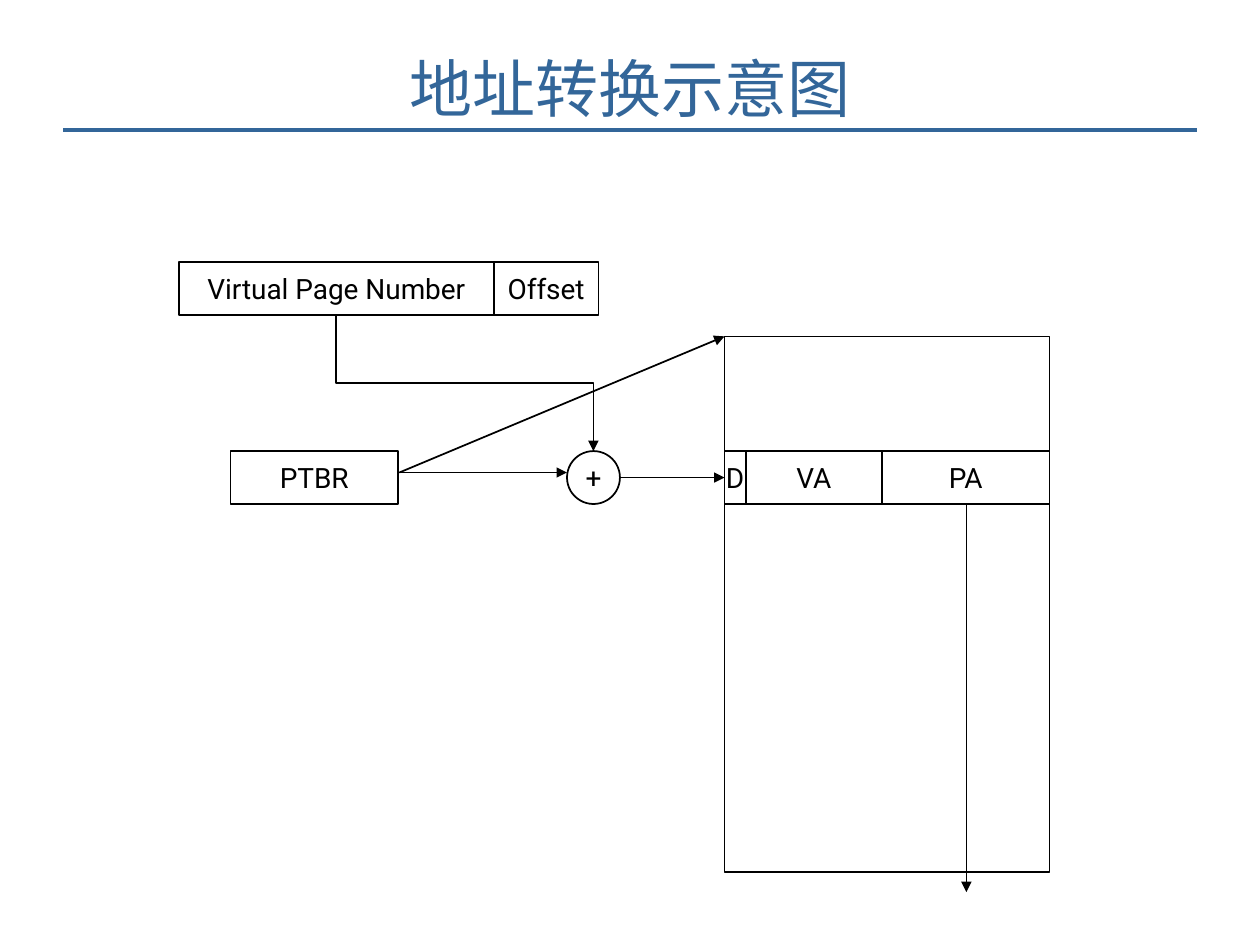
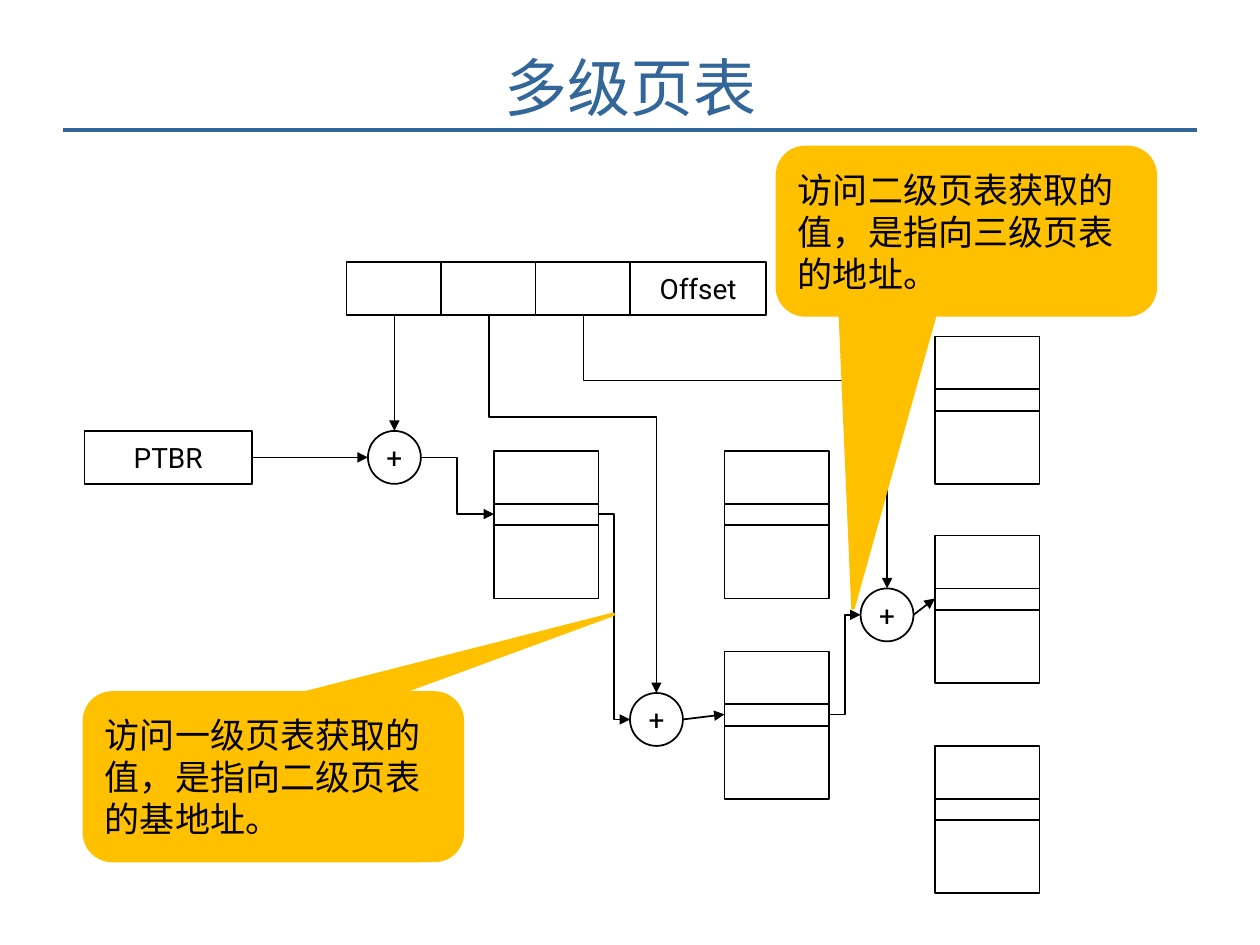
from dataclasses import dataclass

from lxml import etree
from pptx import Presentation
from pptx.dml.color import RGBColor
from pptx.enum.shapes import MSO_CONNECTOR, MSO_SHAPE
from pptx.enum.text import MSO_ANCHOR, PP_ALIGN
from pptx.oxml.ns import qn
from pptx.util import Inches, Pt

BLUE = RGBColor(0x33, 0x66, 0x99)
BLACK = RGBColor(0x00, 0x00, 0x00)
AMBER = RGBColor(0xFF, 0xC0, 0x00)

LATIN_FONT = "Roboto"
CHINESE_FONT = "Noto Sans CJK SC"

RECTANGLE = MSO_SHAPE.RECTANGLE
OVAL = MSO_SHAPE.OVAL
CALLOUT = MSO_SHAPE.ROUNDED_RECTANGULAR_CALLOUT
STRAIGHT = MSO_CONNECTOR.STRAIGHT
ELBOW = MSO_CONNECTOR.ELBOW
MIDDLE = MSO_ANCHOR.MIDDLE
CENTER = PP_ALIGN.CENTER
LEFT = PP_ALIGN.LEFT

TITLE_ONLY_LAYOUT = 5
FIELD_HEIGHT = 0.42
REGISTER_WIDTH = 1.33
INDEX_WIDTH = 0.75
TABLE_WIDTH, TABLE_HEIGHT = 0.83, 1.17
ENTRY_OFFSET, ENTRY_HEIGHT = 0.42, 0.17

Point = tuple[float, float]


@dataclass
class Box:
    left: float
    top: float
    width: float
    height: float = FIELD_HEIGHT
    label: str = ""
    geometry: MSO_SHAPE = RECTANGLE


@dataclass
class Arrow:
    start: Point
    end: Point
    route: str = "straight"  # straight, across (horizontal first) or down (vertical first)
    bend: float = 0.5


@dataclass
class Callout:
    left: float
    top: float
    text: str
    pointer: Point


def adder(left: float, top: float) -> Box:
    return Box(left, top, FIELD_HEIGHT, label="+", geometry=OVAL)


def page_table(left: float, top: float) -> list[Box]:
    return [
        Box(left, top, TABLE_WIDTH, TABLE_HEIGHT),
        Box(left, top + ENTRY_OFFSET, TABLE_WIDTH, ENTRY_HEIGHT),
    ]


def format_text(shape, text: str, font_name: str, size: int, color: RGBColor, alignment) -> None:
    text_frame = shape.text_frame
    text_frame.text = text
    text_frame.vertical_anchor = MIDDLE
    paragraph = text_frame.paragraphs[0]
    paragraph.alignment = alignment
    run = paragraph.runs[0]
    run.font.name = font_name
    run.font.size = Pt(size)
    run.font.color.rgb = color
    if font_name == CHINESE_FONT:
        latin = run.font._element.find(qn("a:latin"))
        east_asian = etree.Element(qn("a:ea"), typeface=font_name)
        latin.addnext(east_asian)


def draw_line(slide, arrow: Arrow, color: RGBColor = BLACK, width: float = 1, head: bool = True) -> None:
    (x1, y1), (x2, y2) = arrow.start, arrow.end
    if arrow.route == "down":
        # A quarter turn about the centre makes the elbow leave vertically
        center_x, center_y = (x1 + x2) / 2, (y1 + y2) / 2
        half_width, half_height = (y2 - y1) / 2, (x2 - x1) / 2
        x1, x2 = center_x + half_width, center_x - half_width
        y1, y2 = center_y - half_height, center_y + half_height
    kind = STRAIGHT if arrow.route == "straight" else ELBOW
    connector = slide.shapes.add_connector(kind, Inches(x1), Inches(y1), Inches(x2), Inches(y2))
    connector.line.color.rgb = color
    connector.line.width = Pt(width)
    properties = connector._element.spPr
    if arrow.route == "down":
        connector.rotation = 270 if hasattr(connector, "rotation") else None
        properties.find(qn("a:xfrm")).set("rot", str(270 * 60000))
    if kind == ELBOW:
        guides = properties.find(qn("a:prstGeom")).get_or_add_avLst()
        etree.SubElement(guides, qn("a:gd"), name="adj1", fmla=f"val {round(arrow.bend * 100000)}")
    if head:
        etree.SubElement(properties.find(qn("a:ln")), qn("a:tailEnd"), type="triangle")
    etree.SubElement(properties, qn("a:effectLst"))


def draw_box(slide, box: Box) -> None:
    shape = slide.shapes.add_shape(
        box.geometry, Inches(box.left), Inches(box.top), Inches(box.width), Inches(box.height)
    )
    shape.shadow.inherit = False
    shape.fill.background()
    shape.line.color.rgb = BLACK
    shape.line.width = Pt(1)
    if box.label:
        format_text(shape, box.label, LATIN_FONT, 16, BLACK, CENTER)
        shape.text_frame.word_wrap = False


def draw_callout(slide, callout: Callout) -> None:
    shape = slide.shapes.add_shape(
        CALLOUT, Inches(callout.left), Inches(callout.top), Inches(3), Inches(1.33)
    )
    shape.shadow.inherit = False
    shape.adjustments[0], shape.adjustments[1] = callout.pointer
    shape.adjustments[2] = 0.167
    shape.fill.solid()
    shape.fill.fore_color.rgb = AMBER
    shape.line.color.rgb = AMBER
    shape.line.width = Pt(2)
    format_text(shape, callout.text, CHINESE_FONT, 20, BLACK, LEFT)
    shape.text_frame.word_wrap = True
    shape.text_frame.paragraphs[0].line_spacing = Pt(24)


def add_diagram_slide(
    presentation, title: str, title_top: float, title_height: float,
    boxes: list[Box], arrows: list[Arrow], callouts: list[Callout],
) -> None:
    slide = presentation.slides.add_slide(presentation.slide_layouts[TITLE_ONLY_LAYOUT])
    # Title and rule
    placeholder = slide.shapes.title
    placeholder.left, placeholder.top = Inches(0.5), Inches(title_top)
    placeholder.width, placeholder.height = Inches(9), Inches(title_height)
    format_text(placeholder, title, CHINESE_FONT, 36, BLUE, CENTER)
    draw_line(slide, Arrow((0.5, 1.03), (9.5, 1.03)), BLUE, 2, head=False)
    # Diagram
    for box in boxes:
        draw_box(slide, box)
    for arrow in arrows:
        draw_line(slide, arrow)
    for callout in callouts:
        draw_callout(slide, callout)


def add_address_translation(presentation) -> None:
    boxes = [
        Box(5.75, 2.67, 2.58, 4.25),
        Box(7, 3.58, 1.33, label="PA"),
        Box(5.92, 3.58, 1.08, label="VA"),
        Box(5.75, 3.58, 0.17, label="D"),
        Box(1.83, 3.58, REGISTER_WIDTH, label="PTBR"),
        Box(1.42, 2.08, 2.5, label="Virtual Page Number"),
        Box(3.92, 2.08, 0.83, label="Offset"),
        adder(4.5, 3.58),
    ]
    arrows = [
        Arrow((3.17, 3.75), (5.75, 2.67)),
        Arrow((3.17, 3.75), (4.5, 3.75)),
        Arrow((2.67, 2.5), (4.71, 3.58), "down"),
        Arrow((4.92, 3.79), (5.75, 3.79)),
        Arrow((7.67, 4), (7.67, 7.08)),
    ]
    add_diagram_slide(presentation, "地址转换示意图", 0.3, 0.78, boxes, arrows, [])


def add_multilevel_tables(presentation) -> None:
    boxes = [Box(2.75 + level * INDEX_WIDTH, 2.08, INDEX_WIDTH) for level in range(3)]
    boxes += [
        Box(5, 2.08, 1.08, label="Offset"),
        Box(0.67, 3.42, REGISTER_WIDTH, label="PTBR"),
        adder(2.92, 3.42),
        adder(5, 5.5),
        adder(6.83, 4.67),
    ]
    # Page tables of each level, by column
    for left, tops in ((3.92, (3.58,)), (5.75, (3.58, 5.17)), (7.42, (2.67, 4.25, 5.92))):
        for top in tops:
            boxes += page_table(left, top)
    arrows = [
        Arrow((3.13, 2.5), (3.13, 3.42)),
        Arrow((2, 3.63), (2.92, 3.63)),
        Arrow((3.33, 3.63), (3.92, 4.08), "across"),
        Arrow((4.75, 4.08), (5, 5.71), "across"),
        Arrow((3.88, 2.5), (5.21, 5.5), "down", 0.27),
        Arrow((5.42, 5.71), (5.75, 5.67)),
        Arrow((6.58, 5.67), (6.83, 4.88), "across"),
        Arrow((4.63, 2.5), (7.04, 4.67), "down", 0.24),
        Arrow((7.25, 4.88), (7.42, 4.75)),
    ]
    callouts = [
        Callout(0.67, 5.5, "访问一级页表获取的值，是指向二级页表的基地址。", (0.9, -0.97)),
        Callout(6.17, 1.17, "访问二级页表获取的值，是指向三级页表的地址。", (-0.3, 2.25)),
    ]
    add_diagram_slide(presentation, "多级页表", 0.25, 0.87, boxes, arrows, callouts)


def main() -> None:
    presentation = Presentation()
    presentation.slide_width = Inches(10)
    presentation.slide_height = Inches(7.5)
    add_address_translation(presentation)
    add_multilevel_tables(presentation)
    presentation.save("out.pptx")


if __name__ == "__main__":
    main()
